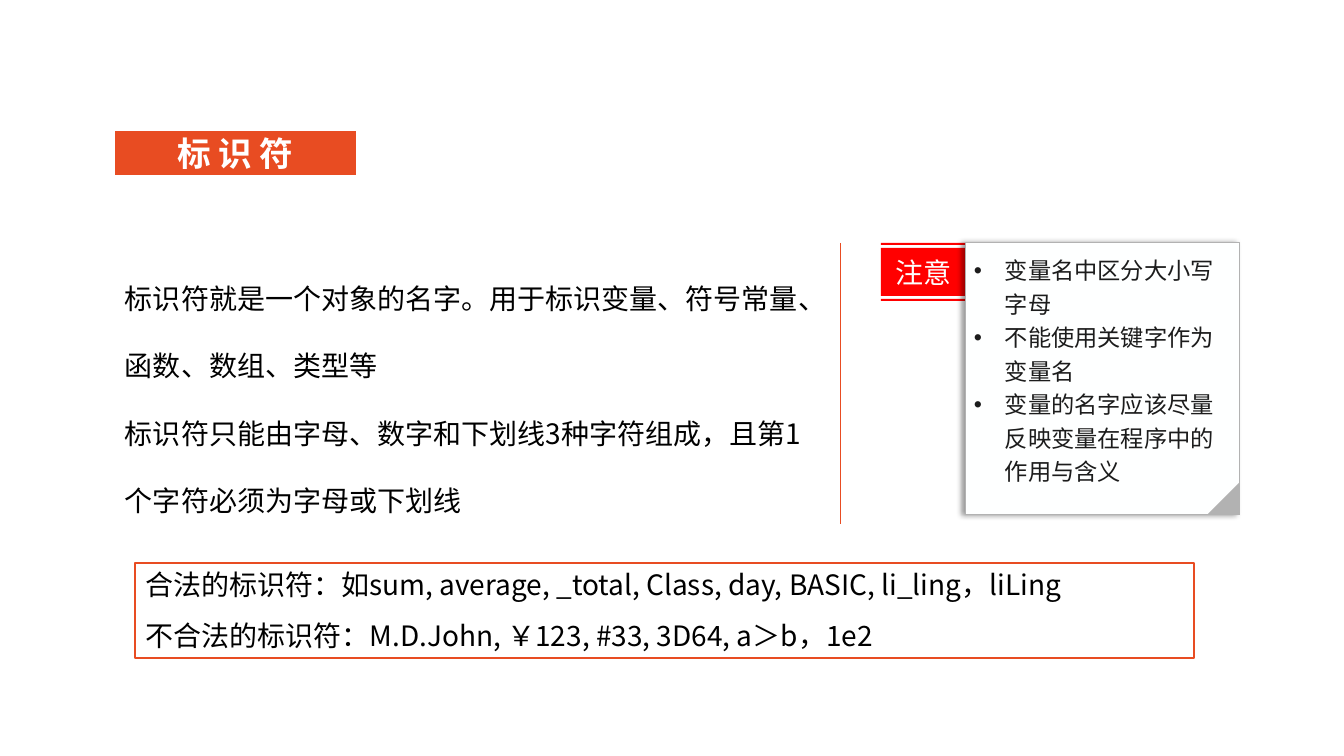
"""Build the slide on identifiers, with a side note and examples."""
from lxml import etree
from pptx import Presentation, util as u
from pptx.dml.color import RGBColor
from pptx.enum import shapes as s, text as t
from pptx.oxml.ns import qn

HEAD = "标 识 符"
BODY = [
    "标识符就是一个对象的名字。用于标识变量、符号常量、函数、数组、类型等",
    "标识符只能由字母、数字和下划线3种字符组成，且第1个字符必须为字母或下划线",
]
TAG = "注意"
NOTES = [
    "变量名中区分大小写字母",
    "不能使用关键字作为变量名",
    "变量的名字应该尽量反映变量在程序中的作用与含义",
]
CASES = [
    "合法的标识符：如sum, average, _total, Class, day, BASIC, li_ling，liLing",
    "不合法的标识符：M.D.John, ￥123, #33, 3D64, a＞b，1e2",
]
THEME = {
    "font": "Noto Sans CJK SC",
    "main": "E84C22", "alert": "FF0000", "paper": "FEFFFF", "back": "FFFFFF",
    "ink": "000000", "dark": "1C1C1C", "grey": "B2B2B2",
    "head": 24, "text": 20, "note": 16.6,
}
PX = 914400 / 100.8
WIDE, HIGH = 1344, 756
TOP, LEFT = 243, 115
TAG_X, NOTE_X, NOTE_W, NOTE_H = 881, 966, 274, 272
FOLD = 33
BANDS = [(56, 58), (5, 53), (0, 2)]
HANG = 31


def px(n):
    return u.Emu(round(n * PX))


def hue(key):
    return RGBColor.from_string(THEME[key])


def node(base, tag, **attrs):
    return etree.SubElement(base, qn(tag), attrs)


def paint(shape, fill, edge=None, width=1):
    shape.shadow.inherit = False
    shape.fill.solid()
    shape.fill.fore_color.rgb = hue(fill)
    if edge:
        shape.line.color.rgb = hue(edge)
        shape.line.width = u.Pt(width)
    else:
        shape.line.fill.background()
    return shape


def write(shape, lines, size, ink, gaps, align="LEFT", bold=None, bullet=False,
          anchor="TOP", pad=(10, 5), grow=False):
    frame = shape.text_frame
    fit = t.MSO_AUTO_SIZE
    style = {
        "word_wrap": True, "vertical_anchor": t.MSO_ANCHOR[anchor],
        "auto_size": fit.SHAPE_TO_FIT_TEXT if grow else fit.NONE,
        "margin_left": px(pad[0]), "margin_right": px(pad[0]),
        "margin_top": px(pad[1]), "margin_bottom": px(pad[1]),
    }
    for key, val in style.items():
        setattr(frame, key, val)
    face = {"name": THEME["font"], "size": u.Pt(THEME[size]), "bold": bold}
    for i, (line, gap) in enumerate(zip(lines, gaps)):
        para = frame.add_paragraph() if i else frame.paragraphs[0]
        para.alignment = t.PP_ALIGN[align]
        para.line_spacing = gap
        if bullet:
            prop = para._p.get_or_add_pPr()
            prop.set("marL", str(px(HANG)))
            prop.set("indent", str(-px(HANG)))
            node(prop, "a:buFont", typeface="Arial")
            node(prop, "a:buChar", char="•")
        run = para.add_run()
        run.text = line
        for key, val in face.items():
            setattr(run.font, key, val)
        run.font.color.rgb = hue(ink)
        node(run._r.get_or_add_rPr(), "a:ea", typeface=THEME["font"])


def cast(shape):
    effect = shape._element.spPr.find(qn("a:effectLst"))
    shade = node(effect, "a:outerShdw", blurRad=str(u.Pt(4)), dist=str(u.Pt(3)),
                 dir="10800000", algn="r", rotWithShape="0")
    tone = node(shade, "a:srgbClr", val=THEME["ink"])
    node(tone, "a:alpha", val="40000")


def main():
    deck = Presentation()
    deck.slide_width, deck.slide_height = px(WIDE), px(HIGH)
    slide = deck.slides.add_slide(deck.slide_layouts[6])
    slide.background.fill.solid()
    slide.background.fill.fore_color.rgb = hue("back")
    pen, kind = slide.shapes, s.MSO_SHAPE

    def add(form, *area):
        return pen.add_shape(form, *map(px, area))

    rule = pen.add_connector(s.MSO_CONNECTOR.STRAIGHT,
                             *map(px, (840, TOP, 840, 524)))
    rule.line.color.rgb = hue("main")
    rule.line.width = u.Pt(0.5)
    node(rule._element.spPr, "a:effectLst")

    head = paint(add(kind.RECTANGLE, LEFT, 131, 241, 44), "main")
    write(head, [HEAD], "head", "back", [1], "CENTER", True,
          anchor="MIDDLE", pad=(0, 0))

    body = pen.add_textbox(*map(px, (LEFT, TOP, 711, 281)))
    write(body, BODY, "text", "ink", [2, 2], grow=True)

    path = pen.build_freeform(TAG_X, TOP + BANDS[0][0], scale=PX)
    for high, low in BANDS:
        path.move_to(TAG_X, TOP + high)
        path.add_line_segments([(NOTE_X, TOP + high), (NOTE_X, TOP + low),
                                (TAG_X, TOP + low)])
    tag = paint(path.convert_to_shape(), "alert")
    write(tag, [TAG], "text", "paper", [1], "CENTER", anchor="MIDDLE")

    note = paint(add(kind.RECTANGLE, NOTE_X, TOP, NOTE_W, NOTE_H),
                 "paper", "grey", 0.75)
    cast(note)
    write(note, NOTES, "note", "dark", [1.2] * 3, bullet=True, pad=(8, 8))

    fold = add(kind.RIGHT_TRIANGLE, NOTE_X + NOTE_W - FOLD,
               TOP + NOTE_H - FOLD, FOLD, FOLD)
    paint(fold, "grey").rotation = 270

    case = paint(add(kind.RECTANGLE, 135, 563, 1059, 95), "back", "main")
    write(case, CASES, "text", "ink", [1, 1.5], grow=True)
    deck.save("out.pptx")


if __name__ == "__main__":
    main()
